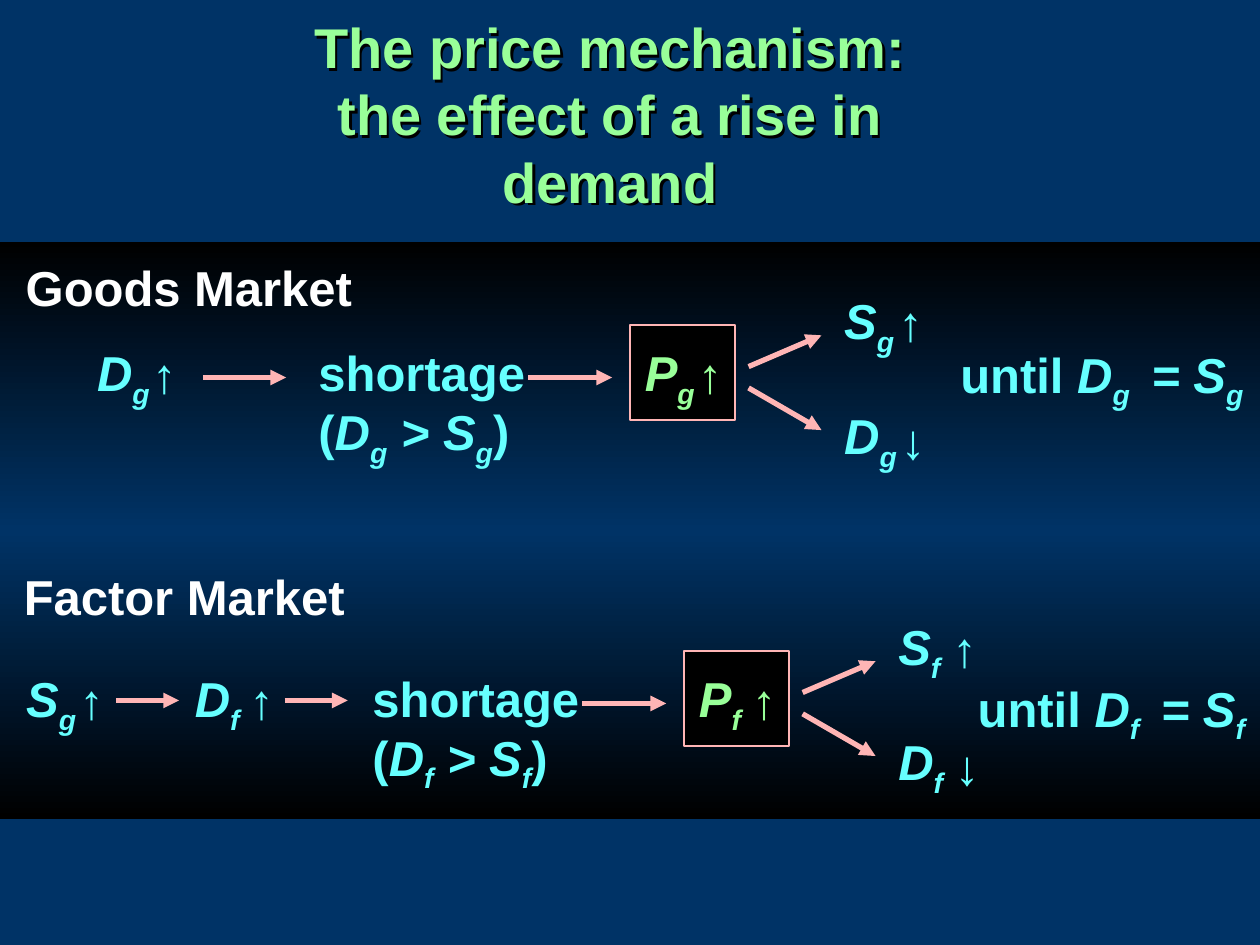
import copy
import pptx
import pptx.util
import pptx.dml.color
import pptx.enum.shapes
import pptx.enum.text
import pptx.oxml
import pptx.oxml.ns

Cm, Pt = pptx.util.Cm, pptx.util.Pt
RGBColor = pptx.dml.color.RGBColor
RECT = pptx.enum.shapes.MSO_SHAPE.RECTANGLE
LINE = pptx.enum.shapes.MSO_CONNECTOR.STRAIGHT
FIT = pptx.enum.text.MSO_AUTO_SIZE.SHAPE_TO_FIT_TEXT
NONE = pptx.enum.text.MSO_AUTO_SIZE.NONE
TOP = pptx.enum.text.MSO_ANCHOR.TOP
MID = pptx.enum.text.PP_ALIGN.CENTER
qn = pptx.oxml.ns.qn

NAVY = RGBColor(0x00, 0x33, 0x66)
BLACK = RGBColor(0x00, 0x00, 0x00)
WHITE = RGBColor(0xFF, 0xFF, 0xFF)
CYAN = RGBColor(0x66, 0xFF, 0xFF)
GREEN = RGBColor(0x99, 0xFF, 0x99)
PINK = RGBColor(0xFF, 0xB5, 0xB5)
FONT = {"name": "Arial", "size": Pt(28), "bold": True}
NS = 'xmlns:a="http://schemas.openxmlformats.org/drawingml/2006/main"'
SHADE = (f'<a:effectLst {NS}><a:outerShdw dist="25400" dir="2700000">'
         '<a:srgbClr val="000000"/></a:outerShdw></a:effectLst>')

deck = pptx.Presentation()
deck.slide_width, deck.slide_height = Cm(25.4), Cm(19.05)
slide = deck.slides.add_slide(deck.slide_layouts[5])
slide.background.fill.solid()
slide.background.fill.fore_color.rgb = NAVY
shapes = slide.shapes


def write(x, y, w, h, lines, color=CYAN):
    """Each line is a list of (text, style): "" plain, "i" italic, "s" italic subscript."""
    frame = shapes.add_textbox(Cm(x), Cm(y), Cm(w), Cm(h)).text_frame
    frame.word_wrap, frame.auto_size = False, FIT
    for n, line in enumerate(lines):
        para = frame.add_paragraph() if n else frame.paragraphs[0]
        for text, style in line:
            run = para.add_run()
            run.text = text
            for key, value in FONT.items():
                setattr(run.font, key, value)
            run.font.italic = style != ""
            run.font.color.rgb = color
            if style == "s":
                run._r.get_or_add_rPr().set("baseline", "-25000")


def arrow(x1, y1, x2, y2):
    link = shapes.add_connector(LINE, Cm(x1), Cm(y1), Cm(x2), Cm(y2))
    link.line.color.rgb = PINK
    link.line.width = Pt(3)
    tail = pptx.oxml.parse_xml(f'<a:tailEnd {NS} type="triangle"/>')
    link.line._get_or_add_ln().append(tail)
    link._element.spPr.append(pptx.oxml.parse_xml(f"<a:effectLst {NS}/>"))


# Title, with a shadow on its text
title = shapes.title
for key, value in {"left": 4.25, "top": 0.13, "width": 16.1, "height": 4.32}.items():
    setattr(title, key, Cm(value))
title.fill.background()
title._element.spPr.append(pptx.oxml.parse_xml(SHADE))
frame = title.text_frame
frame.text = "The price mechanism:\nthe effect of a rise in demand"
frame.word_wrap, frame.auto_size, frame.vertical_anchor = True, NONE, TOP
for para in frame.paragraphs:
    para.alignment = MID
    font = para.runs[0].font
    for key, value in {**FONT, "size": Pt(32)}.items():
        setattr(font, key, value)
    font.color.rgb = GREEN

# Shaded band behind both markets
band = shapes.add_shape(RECT, Cm(0), Cm(4.87), Cm(25.4), Cm(11.64))
band.shadow.inherit = False
band.line.fill.background()
band.fill.gradient()
band.fill.gradient_angle = 90
stops = next(band._element.spPr.iter(qn("a:gsLst")))
stops.append(copy.deepcopy(stops[0]))
for stop, place, color in zip(band.fill.gradient_stops, (0, 0.5, 1), (BLACK, NAVY, BLACK)):
    stop.position = place
    stop.color.rgb = color

# Both markets: name, its place, subscript, offset of the chain, place of the outcome
markets = [
    ("Goods Market", 0.27, 5.06, "g", 0, 0, 19.11, 6.82),
    ("Factor Market", 0.23, 11.3, "f", 1.09, 6.57, 19.46, 13.55),
]
for name, left, top, sub, dx, dy, endx, endy in markets:
    write(left, top, 7.4, 1.45, [[(name, "")]], WHITE)

    # Shortage
    write(6.17 + dx, 6.79 + dy, 4.8, 2.79, [
        [("shortage", "")],
        [("(", ""), ("D", "i"), (sub, "s"), (" > S", "i"), (sub, "s"), (")", "")]])
    arrow(10.65 + dx, 7.61 + dy, 12.34 + dx, 7.61 + dy)

    # Price box
    box = shapes.add_shape(RECT, Cm(12.7 + dx), Cm(6.56 + dy), Cm(2.12), Cm(1.91))
    box.shadow.inherit = False
    box.fill.solid()
    box.fill.fore_color.rgb = BLACK
    box.line.color.rgb = PINK
    box.line.width = Pt(1)
    write(12.75 + dx, 6.79 + dy, 1.8, 1.6, [[("P", "i"), (sub, "s")]], GREEN)
    write(13.82 + dx, 6.83 + dy, 0.91, 1.45, [[("↑", "")]], GREEN)

    # Supply and demand responses
    arrow(15.09 + dx, 7.39 + dy, 16.56 + dx, 6.76 + dy)
    arrow(15.09 + dx, 7.82 + dy, 16.56 + dx, 8.67 + dy)
    for letter, sign, y, x2, y2 in (("S", "↑", 5.74, 17.86, 5.77),
                                    ("D", "↓", 8.06, 17.91, 8.15)):
        write(16.77 + dx, y + dy, 1.8, 1.6, [[(letter, "i"), (sub, "s")]])
        write(x2 + dx, y2 + dy, 0.91, 1.45, [[(sign, "")]])

    # Outcome, reaching to the right edge of the slide
    write(endx, endy, 25.4 - endx, 1.6, [[("until ", ""), ("D", "i"), (sub + " ", "s"),
                                          (" = S", "i"), (sub, "s")]])

# Opening changes that start each chain
for letter, sub, x, y, x2, y2 in (("D", "g", 1.71, 6.79, 2.82, 6.83),
                                  ("S", "g", 0.28, 13.36, 1.35, 13.39),
                                  ("D", "f", 3.68, 13.36, 4.78, 13.39)):
    write(x, y, 1.8, 1.6, [[(letter, "i"), (sub, "s")]])
    write(x2, y2, 0.91, 1.45, [[("↑", "")]])
for x1, x2, y in ((4.09, 5.77, 7.61), (2.34, 3.61, 14.12), (5.74, 7.01, 14.12)):
    arrow(x1, y, x2, y)

deck.save("out.pptx")
